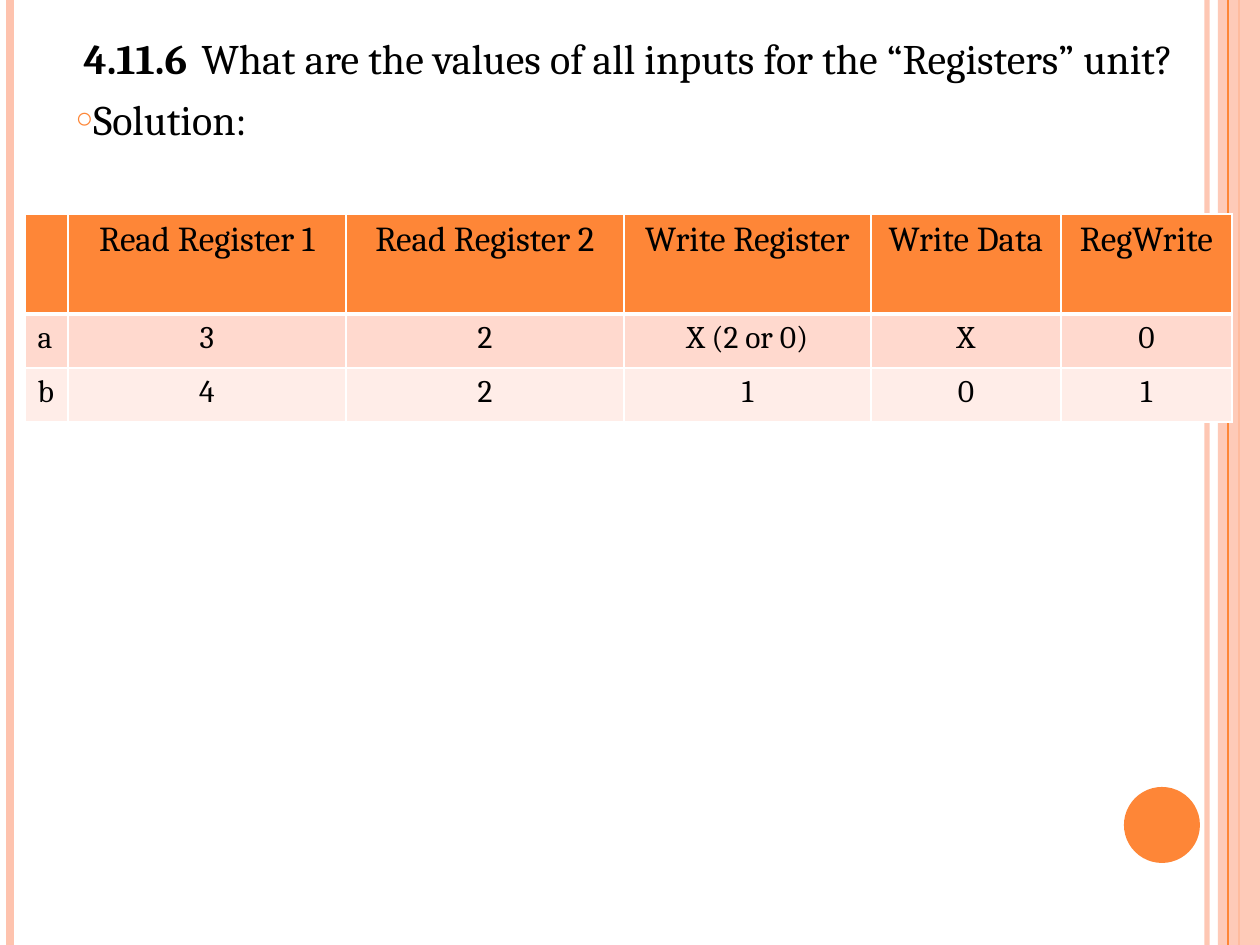
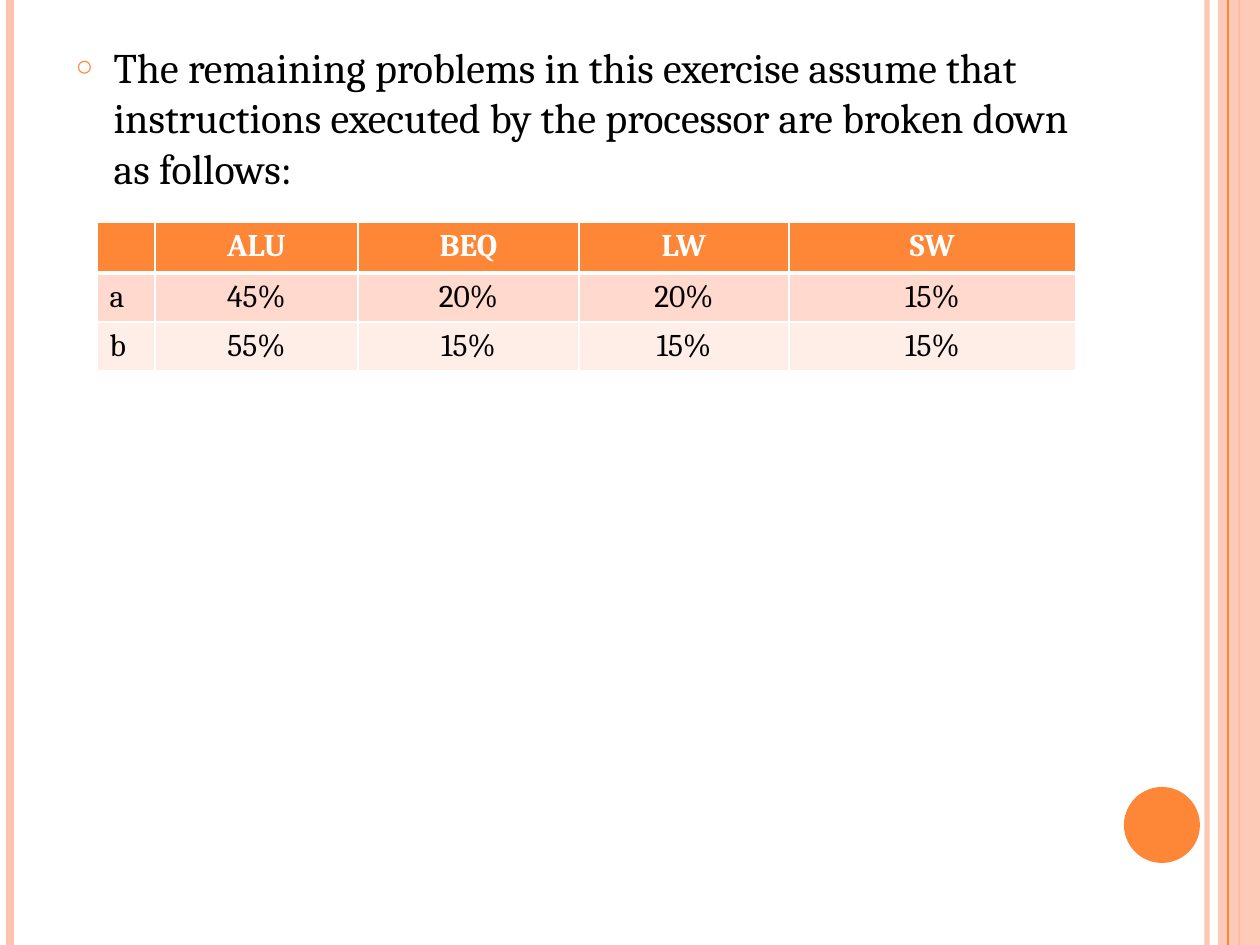
from lxml import etree
from pptx import Presentation
from pptx.dml.color import RGBColor
from pptx.enum.shapes import MSO_CONNECTOR, MSO_SHAPE
from pptx.enum.text import MSO_ANCHOR, MSO_AUTO_SIZE, PP_ALIGN
from pptx.oxml.ns import qn
from pptx.util import Pt

STRAIGHT = MSO_CONNECTOR.STRAIGHT
RECTANGLE, OVAL = MSO_SHAPE.RECTANGLE, MSO_SHAPE.OVAL
LEFT, CENTER = PP_ALIGN.LEFT, PP_ALIGN.CENTER
TOP, NO_AUTOFIT = MSO_ANCHOR.TOP, MSO_AUTO_SIZE.NONE

PIXELS_PER_INCH = 126
SLIDE_WIDTH, SLIDE_HEIGHT = 1260, 945
FONT = "Cambria"
COLORS = {
    "orange": "FE8637",
    "peach": "FEC3AE",
    "row_dark": "FFD9CE",
    "row_light": "FFEDE8",
    "black": "000000",
    "white": "FFFFFF",
}


def px(length):
    return round(length * 914400 / PIXELS_PER_INCH)


def color(name):
    return RGBColor.from_string(COLORS[name])


def add_child(parent, tag, **attributes):
    values = {key: str(value) for key, value in attributes.items()}
    return etree.SubElement(parent, qn(tag), values)


def set_opacity(shape, percent):
    for element in shape.element.iter(qn("a:srgbClr")):
        add_child(element, "a:alpha", val=percent * 1000)


def add_run(paragraph, text, size, color_name="black", bold=False):
    run = paragraph.add_run()
    run.text = text
    run.font.name = FONT
    run.font.size = Pt(size)
    run.font.bold = bold
    run.font.color.rgb = color(color_name)


def add_stripe(slide, x, height, color_name, width, opacity=100):
    stripe = slide.shapes.add_connector(STRAIGHT, px(x), 0, px(x), px(height))
    stripe.line.color.rgb = color(color_name)
    stripe.line.width = Pt(width)
    add_child(stripe.element.spPr, "a:effectLst")
    if opacity < 100:
        set_opacity(stripe, opacity)
    return stripe


def add_block(slide, kind, box, color_name):
    block = slide.shapes.add_shape(kind, *map(px, box))
    block.shadow.inherit = False
    block.fill.solid()
    block.fill.fore_color.rgb = color(color_name)
    block.line.fill.background()
    return block


def decorate_master(presentation, slide, width, height):
    stripes = [
        add_stripe(slide, width - 53, height, "peach", 3, 93),
        add_stripe(slide, 10, height, "peach", 4.5),
        add_stripe(slide, width - 21, height, "orange", 1.5),
    ]
    band = add_block(slide, RECTANGLE, (width - 42, 0, 42, height), "peach")
    set_opacity(band, 87)
    band_line = add_stripe(slide, width - 32, height, "orange", 0.75)
    disc = add_block(slide, OVAL, (width - 136, height - 158, 76, 76), "orange")
    master_tree = presentation.slide_master.shapes.element
    for shape in [*stripes, band, band_line, disc]:
        master_tree.append(shape.element)


def add_body_slide(presentation):
    slide = presentation.slides.add_slide(presentation.slide_layouts[1])
    title = slide.shapes.title.element
    title.getparent().remove(title)
    return slide


def place_body(slide, box):
    body = slide.placeholders[1]
    body.left, body.top, body.width, body.height = map(px, box)
    frame = body.text_frame
    frame.word_wrap = True
    frame.auto_size = NO_AUTOFIT
    frame.vertical_anchor = TOP
    return frame


def format_paragraph(paragraph, margin, indent, bullet=True, tab=None, before=0):
    properties = paragraph._p.get_or_add_pPr()
    properties.set("marL", str(px(margin)))
    properties.set("indent", str(px(indent)))
    if bullet:
        bullet_color = add_child(properties, "a:buClr")
        add_child(bullet_color, "a:srgbClr", val=COLORS["orange"])
        add_child(properties, "a:buSzPct", val=70000)
        add_child(properties, "a:buChar", char="○")
    else:
        add_child(properties, "a:buNone")
    if tab:
        tabs = add_child(properties, "a:tabLst")
        add_child(tabs, "a:tab", pos=px(tab), algn="l")
    paragraph.space_before = Pt(before)


def set_borders(cell, top, bottom):
    properties = cell._tc.get_or_add_tcPr()
    for side, width in (("L", 1), ("R", 1), ("T", top), ("B", bottom)):
        line = add_child(properties, f"a:ln{side}", w=Pt(width))
        fill = add_child(line, "a:solidFill")
        add_child(fill, "a:srgbClr", val=COLORS["white"])


def add_data_table(slide, left, top, columns, heights, rows, header_style):
    graphic = slide.shapes.add_table(
        len(rows), len(columns), px(left), px(top), px(sum(columns)), px(sum(heights)))
    table = graphic.table
    table.first_row = table.horz_banding = False
    for column, width in zip(table.columns, columns):
        column.width = px(width)
    fills = ("orange", "row_dark", "row_light")
    for row_index, texts in enumerate(rows):
        table.rows[row_index].height = px(heights[row_index])
        style = header_style if row_index == 0 else {"size": 18}
        for column_index, text in enumerate(texts):
            cell = table.cell(row_index, column_index)
            set_borders(cell, 3 if row_index == 1 else 1, 3 if row_index == 0 else 1)
            cell.fill.solid()
            cell.fill.fore_color.rgb = color(fills[row_index])
            paragraph = cell.text_frame.paragraphs[0]
            paragraph.alignment = CENTER if column_index else LEFT
            if text:
                add_run(paragraph, text, **style)


def fill_register_slide(slide):
    frame = place_body(slide, (63, 26, 1133, 179))
    question = frame.paragraphs[0]
    format_paragraph(question, 0, 8, bullet=False, tab=131)
    add_run(question, "4.11.6\t", 24, bold=True)
    add_run(question, "What are the values of all inputs for the “Registers” unit?", 24)
    solution = frame.add_paragraph()
    format_paragraph(solution, 0, 0, before=6)
    add_run(solution, "Solution:", 24)
    rows = [
        ("", "Read Register 1", "Read Register 2", "Write Register", "Write Data", "RegWrite"),
        ("a", "3", "2", "X (2 or 0)", "X", "0"),
        ("b", "4", "2", "1", "0", "1"),
    ]
    add_data_table(slide, 25, 214, (43, 278, 278, 247, 190, 171), (100, 54, 54),
                   rows, {"size": 20})


def fill_instruction_slide(slide):
    frame = place_body(slide, (63, 35, 1029, 169))
    assumption = frame.paragraphs[0]
    format_paragraph(assumption, 38, -38)
    add_run(assumption, "The remaining problems in this exercise assume that instructions "
            "executed by the processor are broken down as follows:", 24)
    rows = [
        ("", "ALU", "BEQ", "LW", "SW"),
        ("a", "45%", "20%", "20%", "15%"),
        ("b", "55%", "15%", "15%", "15%"),
    ]
    add_data_table(slide, 97, 222, (58, 203, 221, 210, 287), (50, 49, 49),
                   rows, {"size": 18, "color_name": "white", "bold": True})


def main():
    presentation = Presentation()
    presentation.slide_width = px(SLIDE_WIDTH)
    presentation.slide_height = px(SLIDE_HEIGHT)
    register_slide = add_body_slide(presentation)
    decorate_master(presentation, register_slide, SLIDE_WIDTH, SLIDE_HEIGHT)
    fill_register_slide(register_slide)
    fill_instruction_slide(add_body_slide(presentation))
    presentation.save("out.pptx")


if __name__ == "__main__":
    main()
